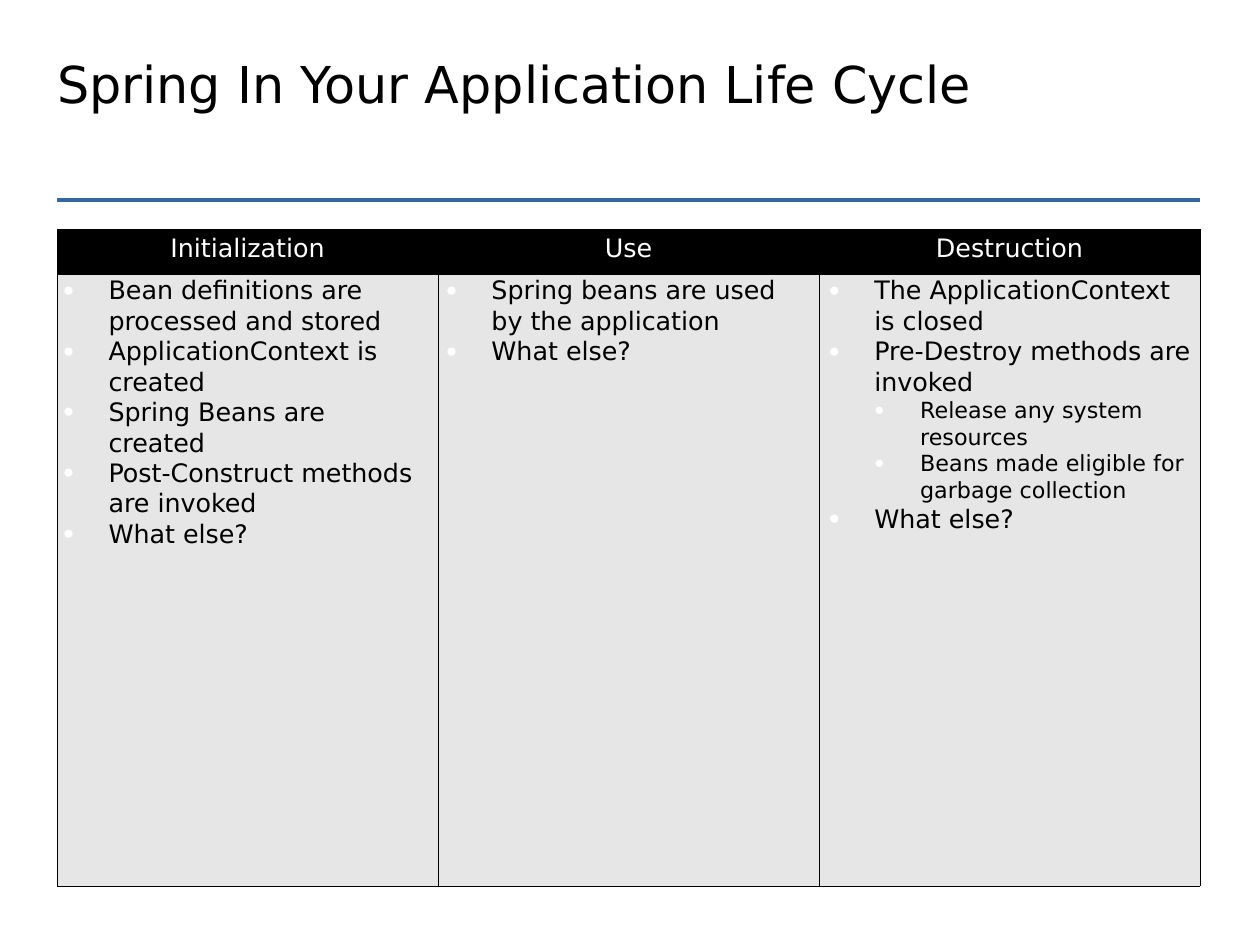
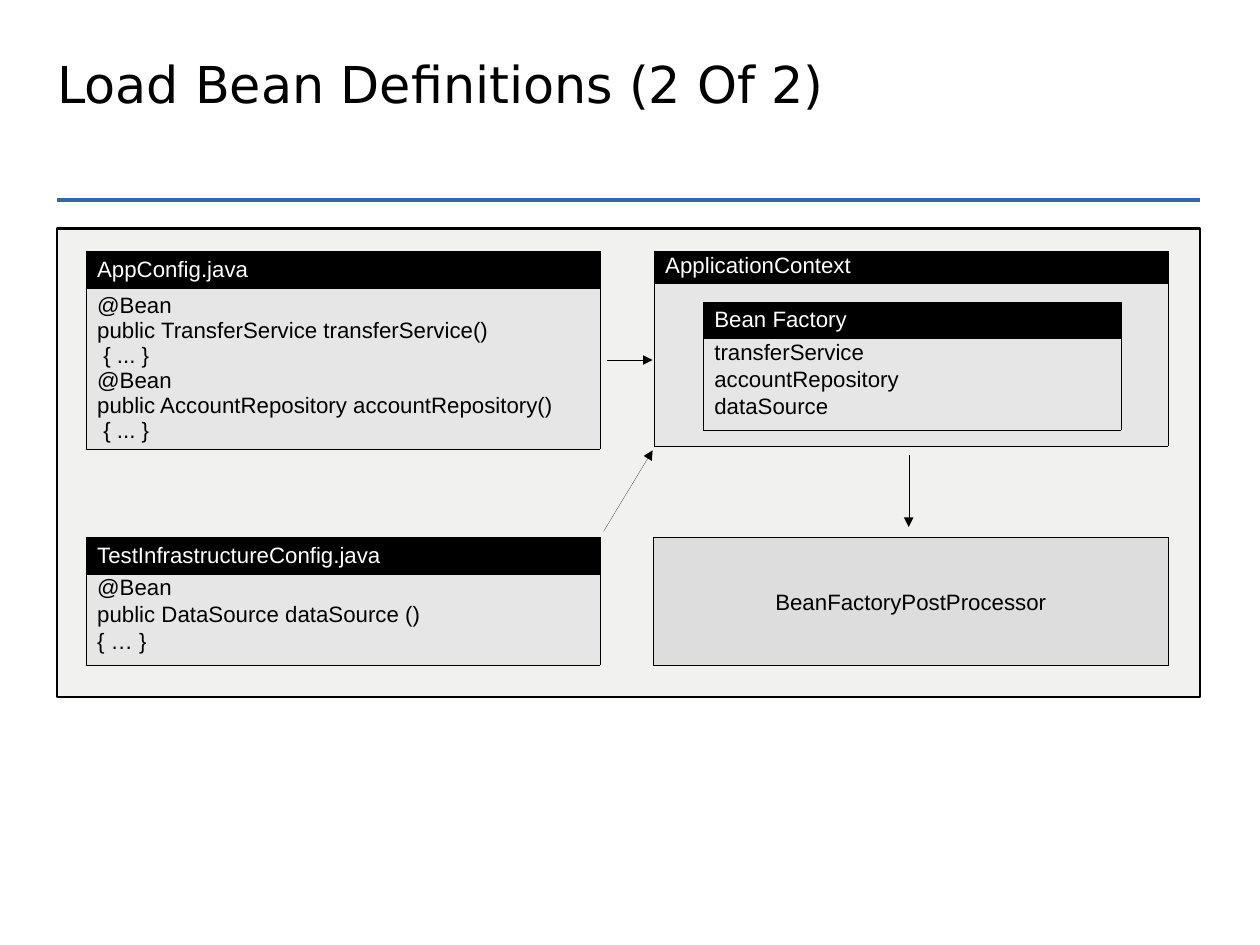
"""Build two slides on bean definitions and the Spring application life cycle."""
from dataclasses import dataclass, replace
from typing import NamedTuple

from lxml import etree
from pptx import Presentation
from pptx.dml.color import RGBColor
from pptx.enum.shapes import MSO_CONNECTOR, MSO_SHAPE
from pptx.enum.text import MSO_ANCHOR, MSO_AUTO_SIZE, PP_ALIGN
from pptx.oxml.ns import qn
from pptx.util import Cm, Emu, Inches, Pt

LEFT, CENTER = PP_ALIGN.LEFT, PP_ALIGN.CENTER
TOP, MIDDLE = MSO_ANCHOR.TOP, MSO_ANCHOR.MIDDLE
NO_FIT = MSO_AUTO_SIZE.NONE
STRAIGHT, RECTANGLE = MSO_CONNECTOR.STRAIGHT, MSO_SHAPE.RECTANGLE

BLACK, WHITE, BLUE = "000000", "FFFFFF", "3465A4"
CELL_GRAY, PANEL_GRAY, PROCESSOR_GRAY = "E6E6E6", "F1F1EF", "DDDDDD"
SANS, ARIAL = "DejaVu Sans", "Arial"
MARGIN = 0.5
COLUMNS = 10
RULE_ROW, CONTENT_ROW = 1.25, 1.5
INDENT = 0.4
BORDER_WIDTH = 0.06
COMPARISON_LAYOUT, TITLE_LAYOUT = 4, 5
BODY_INDEXES, SPARE_INDEX = (1, 2, 4), 3
FLUSH_FRAME = {
    "margin_left": 0, "margin_right": 0, "margin_top": 0, "margin_bottom": 0,
    "word_wrap": True, "auto_size": NO_FIT, "vertical_anchor": TOP,
}
PLAIN_TABLE = {"first_row": False, "horz_banding": False}


class Box(NamedTuple):
    """A place on the one-inch grid that starts at the margins."""
    column: float
    row: float
    width: float
    height: float


class Arrow(NamedTuple):
    """Start and end of an arrow in grid columns and rows."""
    start: tuple[float, float]
    end: tuple[float, float]


@dataclass(frozen=True)
class Style:
    """Text format of one block."""
    font: str
    size: float
    color: str = BLACK
    align: PP_ALIGN = LEFT
    spacing: float = 1.0
    before: float = 0


@dataclass(frozen=True)
class Phase:
    """A life cycle phase with its steps, each a level and a text."""
    heading: str
    steps: tuple[tuple[int, str], ...]


@dataclass(frozen=True)
class Card:
    """A titled box of code lines."""
    heading: str
    lines: tuple[str, ...]
    box: Box
    header: float = 0.32
    tight: bool = True
    tight_header: bool = False


TITLE = Style(SANS, 32)
STEP = Style(SANS, 16)
PHASE_HEADING = replace(STEP, color=WHITE, align=CENTER)
CODE = Style(ARIAL, 14)
TIGHT_CODE = replace(CODE, spacing=0.8, before=4.5)

PHASES = (
    Phase("Initialization", (
        (0, "Bean definitions are processed and stored"),
        (0, "ApplicationContext is created"),
        (0, "Spring Beans are created"),
        (0, "Post-Construct methods are invoked"),
        (0, "What else?"),
    )),
    Phase("Use", (
        (0, "Spring beans are used by the application"),
        (0, "What else?"),
    )),
    Phase("Destruction", (
        (0, "The ApplicationContext is closed"),
        (0, "Pre-Destroy methods are invoked"),
        (1, "Release any system resources"),
        (1, "Beans made eligible for garbage collection"),
        (0, "What else?"),
    )),
)

CARDS = (
    Card("AppConfig.java", (
        "@Bean",
        "public TransferService transferService()",
        " { ... }",
        "@Bean",
        "public AccountRepository accountRepository()",
        " { ... }",
    ), Box(0.25, 1.7, 4.5, 1.73), tight=False),
    Card("TestInfrastructureConfig.java",
         ("@Bean", "public DataSource dataSource ()", "{ … }"),
         Box(0.25, 4.2, 4.5, 1.12)),
    Card("ApplicationContext", (), Box(5.22, 1.7, 4.5, 1.7),
         header=0.28, tight_header=True),
    Card("Bean Factory",
         ("transferService", "accountRepository", "dataSource"),
         Box(5.65, 2.14, 3.66, 1.12)),
)

ARROWS = (
    Arrow((4.81, 2.65), (5.21, 2.65)),
    Arrow((4.78, 4.15), (5.21, 3.44)),
    Arrow((7.45, 3.48), (7.45, 4.11)),
)


def rgb(color: str) -> RGBColor:
    """Turn a hex string into a colour."""
    return RGBColor.from_string(color)


def grid(position: float) -> Emu:
    """Turn a grid column or row into a slide position."""
    return Inches(MARGIN + position)


def bounds(box: Box) -> tuple[Emu, Emu, Emu, Emu]:
    """Turn a grid box into left, top, width and height."""
    return grid(box.column), grid(box.row), Inches(box.width), Inches(box.height)


def apply(target, settings: dict) -> None:
    """Set every named attribute of the target."""
    for name, value in settings.items():
        setattr(target, name, value)


def add_child(parent, tag: str, **attributes: str):
    """Append a drawing element with its attributes."""
    return etree.SubElement(parent, qn(tag), attributes)


def write(paragraph, text: str, style: Style) -> None:
    """Put one formatted run into a paragraph."""
    apply(paragraph, {"alignment": style.align, "line_spacing": style.spacing,
                      "space_before": Pt(style.before)})
    run = paragraph.add_run()
    run.text = text
    apply(run.font, {"name": style.font, "size": Pt(style.size), "bold": False})
    run.font.color.rgb = rgb(style.color)


def write_lines(frame, lines: tuple[str, ...], style: Style) -> None:
    """Write one paragraph for each line."""
    for number, line in enumerate(lines):
        paragraph = frame.add_paragraph() if number else frame.paragraphs[0]
        write(paragraph, line, style if number else replace(style, before=0))


def add_bullet(paragraph, level: int) -> None:
    """Give a paragraph its level, hanging indent and white dot."""
    paragraph.level = level
    properties = paragraph._p.get_or_add_pPr()
    properties.set("marL", str(Inches(INDENT * (level + 1))))
    properties.set("indent", str(Inches(-INDENT)))
    add_child(add_child(properties, "a:buClr"), "a:srgbClr", val=WHITE)
    add_child(properties, "a:buSzPct", val="75000")
    add_child(properties, "a:buChar", char="●")


def place(placeholder, box: Box):
    """Move a placeholder and return its flush text frame."""
    names = ("left", "top", "width", "height")
    apply(placeholder, dict(zip(names, bounds(box))))
    apply(placeholder.text_frame, FLUSH_FRAME)
    return placeholder.text_frame


def set_line(line, color: str, width: float) -> None:
    """Colour a line and write its width, zero included."""
    line.color.rgb = rgb(color)
    line._get_or_add_ln().set("w", str(Pt(width)))


def add_line(slide, line: Arrow, color: str, width: float):
    """Draw a straight line without a shadow."""
    connector = slide.shapes.add_connector(
        STRAIGHT, *map(grid, line.start), *map(grid, line.end))
    set_line(connector.line, color, width)
    add_child(connector.element.spPr, "a:effectLst")
    return connector


def add_arrow(slide, arrow: Arrow) -> None:
    """Draw a hairline arrow."""
    connector = add_line(slide, arrow, BLACK, 0)
    add_child(connector.line._get_or_add_ln(), "a:tailEnd", type="triangle")


def add_rectangle(slide, box: Box, fill: str, width: float):
    """Draw a filled rectangle with a black outline."""
    rectangle = slide.shapes.add_shape(RECTANGLE, *bounds(box))
    rectangle.shadow.inherit = False
    rectangle.fill.solid()
    rectangle.fill.fore_color.rgb = rgb(fill)
    set_line(rectangle.line, BLACK, width)
    return rectangle


def paint_cell(cell, color: str) -> None:
    """Fill a cell and border it with black hairlines."""
    cell.fill.solid()
    cell.fill.fore_color.rgb = rgb(color)
    properties = cell._tc.get_or_add_tcPr()
    for order, side in enumerate(("a:lnL", "a:lnR", "a:lnT", "a:lnB")):
        border = add_child(properties, side, w=str(Pt(BORDER_WIDTH)))
        add_child(add_child(border, "a:solidFill"), "a:srgbClr", val=BLACK)
        properties.insert(order, border)


def add_headed_table(slide, box: Box, header: float, columns: int):
    """Add a table of one black header row and one grey row."""
    frame = slide.shapes.add_table(2, columns, *bounds(box))
    table = frame.table
    apply(table, PLAIN_TABLE)
    heights = (header, box.height - header)
    for row, height, color in zip(table.rows, heights, (BLACK, CELL_GRAY)):
        row.height = Inches(height)
        for cell in row.cells:
            paint_cell(cell, color)
    return frame


def add_card(slide, card: Card) -> None:
    """Draw one card."""
    table = add_headed_table(slide, card.box, card.header, 1).table
    heading = replace(TIGHT_CODE if card.tight_header else CODE, color=WHITE)
    write_lines(table.cell(0, 0).text_frame, (card.heading,), heading)
    body = TIGHT_CODE if card.tight else CODE
    write_lines(table.cell(1, 0).text_frame, card.lines, body)


def add_slide(deck, layout: int, title: str):
    """Add a slide with its title."""
    slide = deck.slides.add_slide(deck.slide_layouts[layout])
    frame = place(slide.shapes.title, Box(0, -0.04, COLUMNS, 1))
    write(frame.paragraphs[0], title, TITLE)
    return slide


def add_master_rule(deck, slide) -> None:
    """Put the blue rule under the title on the slide master."""
    rule = add_line(slide, Arrow((0, RULE_ROW), (COLUMNS, RULE_ROW)), BLUE, 2.89)
    rule.element.nvCxnSpPr.cNvPr.set("id", "20")
    deck.slide_master.shapes.element.append(rule.element)


def build_life_cycle(deck):
    """Build the slide of the three phases."""
    slide = add_slide(deck, COMPARISON_LAYOUT, "Spring In Your Application Life Cycle")
    frame = add_headed_table(slide, Box(0, CONTENT_ROW, COLUMNS, 5.75), 0.4, len(PHASES))
    slide.shapes.element.insert(2, frame.element)
    bodies = {body.placeholder_format.idx: body for body in slide.placeholders}
    spare = bodies[SPARE_INDEX].element
    spare.getparent().remove(spare)
    for number, (phase, index) in enumerate(zip(PHASES, BODY_INDEXES)):
        heading = frame.table.cell(0, number).text_frame
        write_lines(heading, (phase.heading,), PHASE_HEADING)
        text = place(bodies[index], Box(0.05 + 3.35 * number, 1.9, 3.2, 5.33))
        for order, (level, step) in enumerate(phase.steps):
            paragraph = text.add_paragraph() if order else text.paragraphs[0]
            add_bullet(paragraph, level)
            write(paragraph, step, replace(STEP, size=STEP.size - 2 * level))
    return slide


def build_definitions(deck) -> None:
    """Build the slide of the bean definition diagram."""
    slide = add_slide(deck, TITLE_LAYOUT, "Load Bean Definitions (2 Of 2)")
    add_rectangle(slide, Box(0, CONTENT_ROW, COLUMNS, 4.1), PANEL_GRAY, 1.45)
    for card in CARDS:
        add_card(slide, card)
    processor = add_rectangle(slide, Box(5.22, 4.2, 4.5, 1.12), PROCESSOR_GRAY, 0)
    processor.text_frame.vertical_anchor = MIDDLE
    write_lines(processor.text_frame, ("BeanFactoryPostProcessor",),
                replace(CODE, align=CENTER))
    for arrow in ARROWS:
        add_arrow(slide, arrow)


def main() -> None:
    """Build and save the presentation."""
    deck = Presentation()
    deck.slide_width, deck.slide_height = Cm(28), Cm(21)
    add_master_rule(deck, build_life_cycle(deck))
    build_definitions(deck)
    deck.save("out.pptx")


if __name__ == "__main__":
    main()
